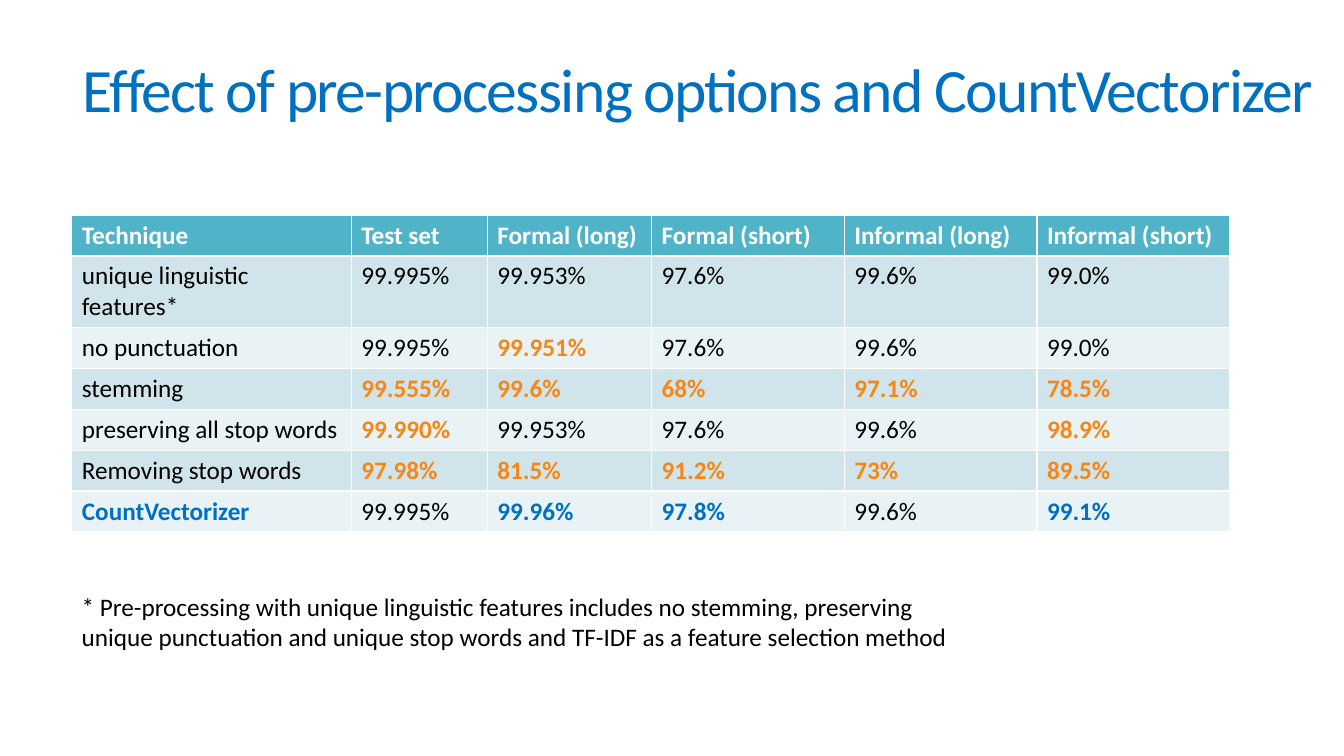
from pptx import Presentation
from pptx.dml.color import RGBColor
from pptx.enum.text import MSO_ANCHOR as Anchor, MSO_AUTO_SIZE as AutoSize, PP_ALIGN as Align
from pptx.util import Pt

BLUE, ORANGE, BLACK, WHITE = "0070C0", "F78615", "000000", "FFFFFF"
HEADER_FILL, BAND_FILLS = "50B4C8", ("D0E5EB", "E9F2F5")


def paint(target, hex_color):
    """Apply a hex colour to a fill or a font."""
    if hasattr(target, "solid"):
        target.solid()
        target.fore_color.rgb = RGBColor.from_string(hex_color)
    else:
        target.color.rgb = RGBColor.from_string(hex_color)


def write(frame, text, color, **font_format):
    run = frame.paragraphs[0].add_run()
    run.text = text
    for name, value in {"name": "Calibri", "size": Pt(18), "bold": False, **font_format}.items():
        setattr(run.font, name, value)
    paint(run.font, color)
    return run


deck = Presentation()
deck.slide_width, deck.slide_height = Pt(960), Pt(540)
slide = deck.slides.add_slide(deck.slide_layouts[5])

# Title
title = slide.shapes.title
title_place = {"left": Pt(51.8), "top": Pt(41), "width": Pt(900), "height": Pt(171.4)}
for name, value in title_place.items():
    setattr(title, name, value)
heading = title.text_frame
for name, value in {"vertical_anchor": Anchor.TOP, "auto_size": AutoSize.NONE, "word_wrap": True}.items():
    setattr(heading, name, value)
heading_line = heading.paragraphs[0]
heading_line.alignment = Align.LEFT
heading_line.line_spacing = 0.85
heading_run = write(heading, "Effect of pre-processing options and CountVectorizer", BLUE, size=Pt(44))
heading_run._r.get_or_add_rPr().set("spc", "-120")

# Results: "-" marks a drop against the first technique, "+" a gain
MARK_COLORS = {"-": ORANGE, "+": BLUE}
results = [
    ["Technique", "Test set", "Formal (long)", "Formal (short)", "Informal (long)", "Informal (short)"],
    ["unique linguistic features*", "99.995%", "99.953%", "97.6%", "99.6%", "99.0%"],
    ["no punctuation", "99.995%", "-99.951%", "97.6%", "99.6%", "99.0%"],
    ["stemming", "-99.555%", "-99.6%", "-68%", "-97.1%", "-78.5%"],
    ["preserving all stop words", "-99.990%", "99.953%", "97.6%", "99.6%", "-98.9%"],
    ["Removing stop words", "-97.98%", "-81.5%", "-91.2%", "-73%", "-89.5%"],
    ["+CountVectorizer", "99.995%", "+99.96%", "+97.8%", "99.6%", "+99.1%"],
]
column_widths = [199.6, 97.2, 117.4, 137.6, 137.6, 137.6]
row_heights = [29.2, 50.4] + [29.2] * 5
table = slide.shapes.add_table(
    len(results), len(column_widths), Pt(51.3), Pt(153.6), Pt(sum(column_widths)), Pt(sum(row_heights))
).table
for column, width in zip(table.columns, column_widths):
    column.width = Pt(width)
for r, (row, height) in enumerate(zip(results, row_heights)):
    table.rows[r].height = Pt(height)
    for c, entry in enumerate(row):
        cell = table.cell(r, c)
        mark_color = MARK_COLORS.get(entry[0])
        header = r == 0
        paint(cell.fill, HEADER_FILL if header else BAND_FILLS[(r - 1) % 2])
        color = WHITE if header else mark_color or BLACK
        write(cell.text_frame, entry[1:] if mark_color else entry, color, bold=header or bool(mark_color))

# Footnote
footnote = slide.shapes.add_textbox(Pt(51.3), Pt(419), Pt(645), Pt(51)).text_frame
footnote.word_wrap = True
write(
    footnote,
    "* Pre-processing with unique linguistic features includes no stemming, preserving "
    "unique punctuation and unique stop words and TF-IDF as a feature selection method",
    BLACK,
)

deck.save("out.pptx")
